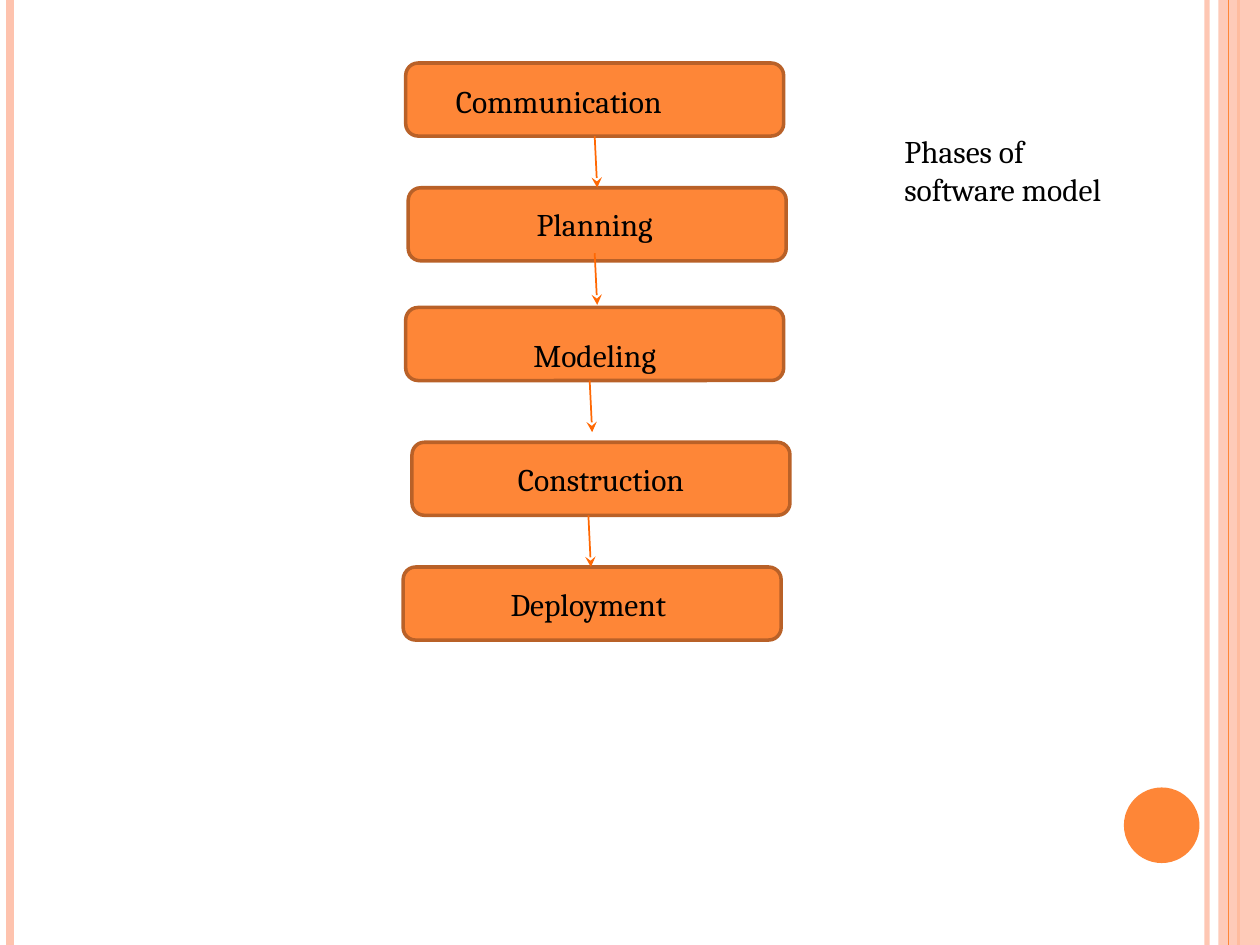
from lxml import etree
from pptx import Presentation
from pptx import util as u
from pptx.dml.color import RGBColor
from pptx.enum import shapes, text
from pptx.oxml.ns import qn

W, H = 10, 7.5
BOX_W, BOX_H = 3, 0.58
LABEL_W, LABEL_H = 2.5, 0.4
ARROW_DX, ARROW_DY = 0.02, 0.41
ORANGE, PALE, BORDER, ARROW, BLACK = "FE8637", "FEC3AE", "B96128", "FF6803", "000000"
LEFT, CENTER = text.PP_ALIGN.LEFT, text.PP_ALIGN.CENTER

# name, box corner, label corner, alignment, arrow start
PHASES = [
    ("Communication", (3.22, 0.5), (3.52, 0.6), LEFT, (4.72, 1.08)),
    ("Planning", (3.24, 1.49), (3.47, 1.58), CENTER, (4.72, 2.01)),
    ("Modeling", (3.22, 2.44), (3.47, 2.62), CENTER, (4.68, 3.02)),
    ("Construction", (3.27, 3.51), (3.52, 3.6), CENTER, (4.67, 4.09)),
    ("Deployment", (3.2, 4.5), (3.42, 4.59), CENTER, None),
]
CAPTION = "Phases of software model"
STRIPES = [(9.58, PALE, 3, 93), (0.08, PALE, 4.5, 100), (9.83, ORANGE, 1.5, 100)]


def rgb(value):
    return RGBColor.from_string(value)


def set_alpha(fill, percent):
    if percent < 100:
        color = fill._xPr.find(qn("a:solidFill"))[0]
        etree.SubElement(color, qn("a:alpha"), val=str(percent * 1000))


def add_line(s, start, end, color, width, alpha=100, arrow=False):
    c = s.shapes.add_connector(shapes.MSO_CONNECTOR.STRAIGHT,
                               *(u.Inches(v) for v in (*start, *end)))
    c.line.color.rgb = rgb(color)
    c.line.width = u.Pt(width)
    set_alpha(c.line.fill, alpha)
    if arrow:
        etree.SubElement(c.line._get_or_add_ln(), qn("a:tailEnd"), type="stealth")
    etree.SubElement(c._element.spPr, qn("a:effectLst"))


def add_shape(s, kind, at, fill, alpha=100, border=None):
    sp = s.shapes.add_shape(kind, *(u.Inches(v) for v in at))
    sp.shadow.inherit = False
    sp.fill.solid()
    sp.fill.fore_color.rgb = rgb(fill)
    set_alpha(sp.fill, alpha)
    if border:
        sp.line.color.rgb = rgb(border)
        sp.line.width = u.Pt(2)
    else:
        sp.line.fill.background()
    return sp


def add_text(s, at, words, align=LEFT):
    tf = s.shapes.add_textbox(*(u.Inches(v) for v in at)).text_frame
    tf.word_wrap = True
    tf.auto_size = text.MSO_AUTO_SIZE.SHAPE_TO_FIT_TEXT
    p = tf.paragraphs[0]
    p.alignment = align
    r = p.add_run()
    r.text = words
    r.font.name = "Cambria"
    r.font.size = u.Pt(18)
    r.font.color.rgb = rgb(BLACK)


def main():
    prs = Presentation()
    prs.slide_width, prs.slide_height = u.Inches(W), u.Inches(H)
    s = prs.slides.add_slide(prs.slide_layouts[6])
    kinds = shapes.MSO_SHAPE

    for x, color, width, alpha in STRIPES:
        add_line(s, (x, 0), (x, H), color, width, alpha)
    add_shape(s, kinds.RECTANGLE, (9.67, 0, 0.33, H), PALE, alpha=87)
    add_line(s, (9.75, 0), (9.75, H), ORANGE, 0.75)
    add_shape(s, kinds.OVAL, (8.92, 6.25, 0.6, 0.6), ORANGE)

    for _, box, _, _, _ in PHASES:
        sp = add_shape(s, kinds.ROUNDED_RECTANGLE, (*box, BOX_W, BOX_H), ORANGE, border=BORDER)
        sp.adjustments[0] = 0.17
    for name, _, label, align, _ in PHASES:
        add_text(s, (*label, LABEL_W, LABEL_H), name, align)
    for *_, start in PHASES:
        if start:
            x, y = start
            add_line(s, start, (x + ARROW_DX, y + ARROW_DY), ARROW, 1, arrow=True)
    add_text(s, (7.08, 1, 2, 0.71), CAPTION)

    prs.save("out.pptx")


if __name__ == "__main__":
    main()
